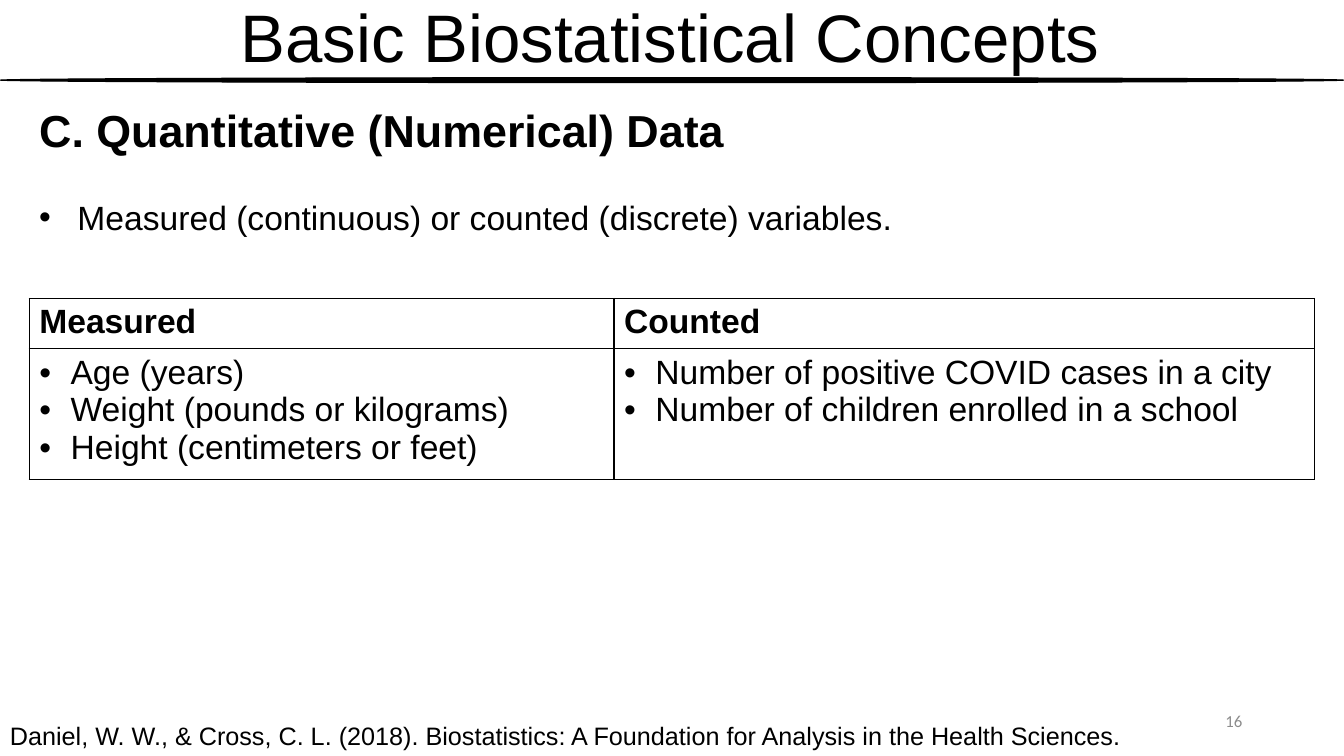
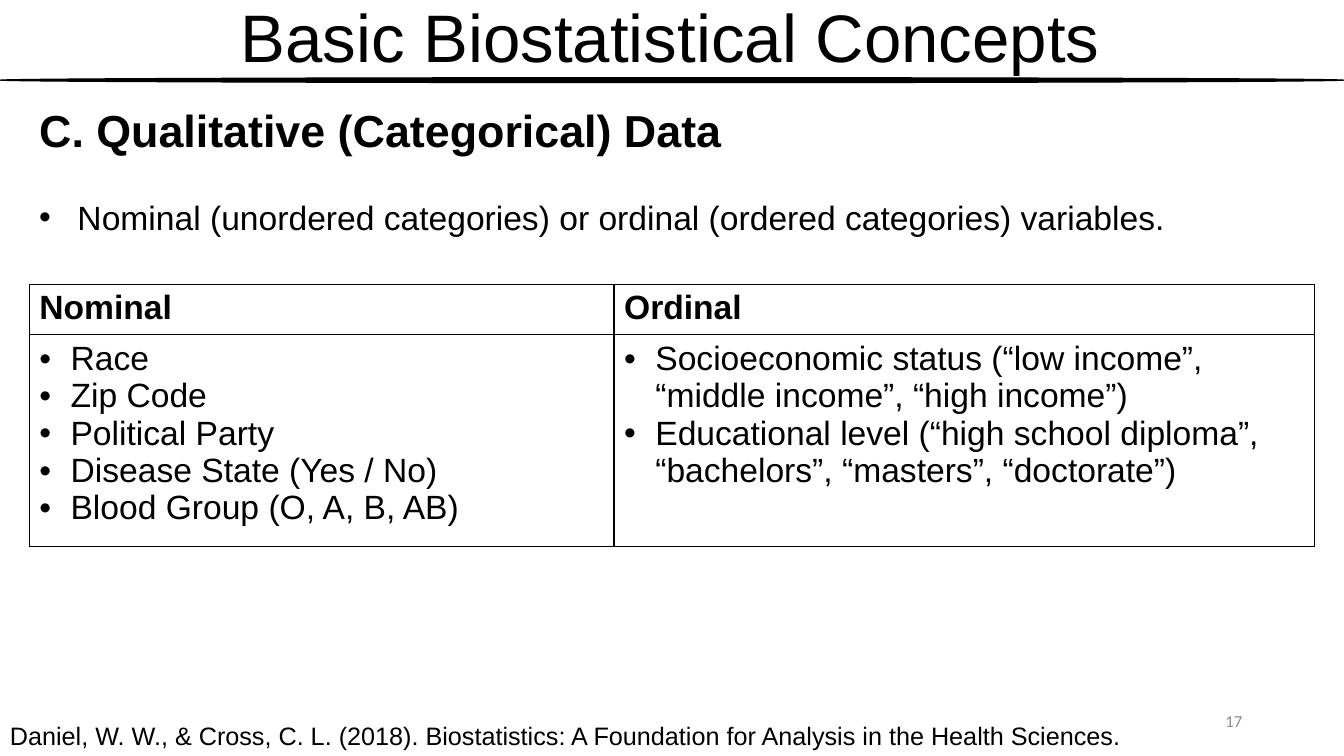
from dataclasses import dataclass

from lxml.etree import SubElement
from pptx import Presentation
from pptx.dml.color import RGBColor
from pptx.enum.shapes import MSO_SHAPE as Shape
from pptx.enum.text import MSO_ANCHOR as Anchor, MSO_AUTO_SIZE as AutoSize, PP_ALIGN as Align
from pptx.oxml.ns import qn
from pptx.slide import Slide
from pptx.table import _Cell as Cell
from pptx.text.text import TextFrame
from pptx.util import Inches, Pt


@dataclass(frozen=True)
class Theme:
    ink: RGBColor = RGBColor(0, 0, 0)
    muted: RGBColor = RGBColor(0x8C, 0x8C, 0x8C)
    font: str = "Arial"
    number_font: str = "Calibri"
    title: int = 48
    heading: int = 32
    body: int = 24
    citation: int = 18
    number: int = 12


@dataclass(frozen=True)
class Column:
    header: str
    width: float
    items: tuple[str, ...]


@dataclass(frozen=True)
class DataType:
    number: str
    heading: str
    summary: str
    table_top: float
    body_height: float
    columns: tuple[Column, ...]


THEME = Theme()
TITLE = "Basic Biostatistical Concepts"
CITATION = ("Daniel, W. W., & Cross, C. L. (2018). Biostatistics: "
            "A Foundation for Analysis in the Health Sciences.")
SLIDE_WIDTH = 13.33
LEFT, CONTENT_WIDTH = 0.29, 12.75
LEFT_COLUMN, RIGHT_COLUMN = 5.8, 6.95
HEADER_HEIGHT = 0.5

DATA_TYPES = (
    DataType(
        "16", "C. Quantitative (Numerical) Data",
        "Measured (continuous) or counted (discrete) variables.", 2.96, 1.3,
        (Column("Measured", LEFT_COLUMN, (
            "Age (years)", "Weight (pounds or kilograms)", "Height (centimeters or feet)")),
         Column("Counted", RIGHT_COLUMN, (
             "Number of positive COVID cases in a city",
             "Number of children enrolled in a school")))),
    DataType(
        "17", "C. Qualitative (Categorical) Data",
        "Nominal (unordered categories) or ordinal (ordered categories) variables.", 2.82, 2.1,
        (Column("Nominal", LEFT_COLUMN, (
            "Race", "Zip Code", "Political Party", "Disease State (Yes / No)",
            "Blood Group (O, A, B, AB)")),
         Column("Ordinal", RIGHT_COLUMN, (
             "Socioeconomic status (“low income”, “middle income”, “high income”)",
             "Educational level (“high school diploma”, “bachelors”, “masters”, “doctorate”)")))),
)


def write(frame: TextFrame, text: str, *, size: int = THEME.body, bold: bool = False,
          font: str = THEME.font, color: RGBColor = THEME.ink, align: Align = Align.LEFT,
          bullet_indent: float = 0, before: float = 0, spacing: float = 1.0) -> None:
    """Fill the first paragraph of the frame, or add one after the existing text."""
    paragraph = frame.add_paragraph() if frame.text else frame.paragraphs[0]
    if bullet_indent:
        properties = paragraph._p.get_or_add_pPr()
        properties.set("marL", str(Inches(bullet_indent)))
        properties.set("indent", str(-Inches(bullet_indent)))
        SubElement(properties, qn("a:buFont"), typeface=THEME.font)
        SubElement(properties, qn("a:buChar"), char="•")
    paragraph.alignment = align
    paragraph.line_spacing = spacing
    paragraph.space_before = Pt(before)
    run = paragraph.add_run()
    run.text = text
    run.font.size, run.font.bold, run.font.name = Pt(size), bold, font
    run.font.color.rgb = color


def add_box(slide: Slide, left: float, top: float, width: float, height: float,
            anchor: Anchor = Anchor.TOP) -> TextFrame:
    frame = slide.shapes.add_textbox(
        Inches(left), Inches(top), Inches(width), Inches(height)).text_frame
    frame.word_wrap = True
    frame.vertical_anchor = anchor
    return frame


def add_title(slide: Slide) -> None:
    title = slide.shapes.title
    title.left, title.top = Inches(0.9), Inches(0.01)
    title.width, title.height = Inches(11.5), Inches(0.79)
    title.text_frame.auto_size = AutoSize.NONE
    title.text_frame.vertical_anchor = Anchor.MIDDLE
    write(title.text_frame, TITLE, size=THEME.title, align=Align.CENTER, spacing=0.9)


def add_frame(slide: Slide, number: str) -> None:
    # Slide number, tapered title rule and citation
    write(add_box(slide, 9.42, 6.95, 3, 0.4, Anchor.MIDDLE), number, size=THEME.number,
          font=THEME.number_font, color=THEME.muted, align=Align.RIGHT)
    rule = slide.shapes.add_shape(
        Shape.OVAL, 0, Inches(0.77), Inches(SLIDE_WIDTH), Inches(0.05))
    rule.shadow.inherit = False
    rule.fill.solid()
    rule.fill.fore_color.rgb = THEME.ink
    rule.line.color.rgb = THEME.ink
    rule.line.width = Pt(0.75)
    write(add_box(slide, 0, 7.1, 11.24, 0.4), CITATION, size=THEME.citation)


def style_cell(cell: Cell) -> None:
    properties = cell._tc.get_or_add_tcPr()
    for side in ("a:lnL", "a:lnR", "a:lnT", "a:lnB"):
        border = SubElement(properties, qn(side), w=str(Pt(1)))
        fill = SubElement(border, qn("a:solidFill"))
        SubElement(fill, qn("a:srgbClr"), val=str(THEME.ink))
    cell.fill.background()


def add_comparison(slide: Slide, data: DataType) -> None:
    table = slide.shapes.add_table(
        2, len(data.columns), Inches(LEFT), Inches(data.table_top),
        Inches(CONTENT_WIDTH), Inches(HEADER_HEIGHT + data.body_height)).table
    table.first_row = table.horz_banding = False
    table.rows[0].height = Inches(HEADER_HEIGHT)
    table.rows[1].height = Inches(data.body_height)
    for index, column in enumerate(data.columns):
        table.columns[index].width = Inches(column.width)
        header, body = table.cell(0, index), table.cell(1, index)
        style_cell(header)
        style_cell(body)
        write(header.text_frame, column.header, bold=True)
        for item in column.items:
            write(body.text_frame, item, bullet_indent=0.31)


def main() -> None:
    prs = Presentation()
    prs.slide_width, prs.slide_height = Inches(SLIDE_WIDTH), Inches(7.5)
    title_only = prs.slide_layouts[5]
    for data in DATA_TYPES:
        slide = prs.slides.add_slide(title_only)
        add_title(slide)
        # Heading and definition
        intro = add_box(slide, LEFT, 0.97, CONTENT_WIDTH, 1.45)
        write(intro, data.heading, size=THEME.heading, bold=True)
        write(intro, data.summary, bullet_indent=0.38, before=29)
        add_frame(slide, data.number)
        add_comparison(slide, data)
    prs.save("out.pptx")


if __name__ == "__main__":
    main()
